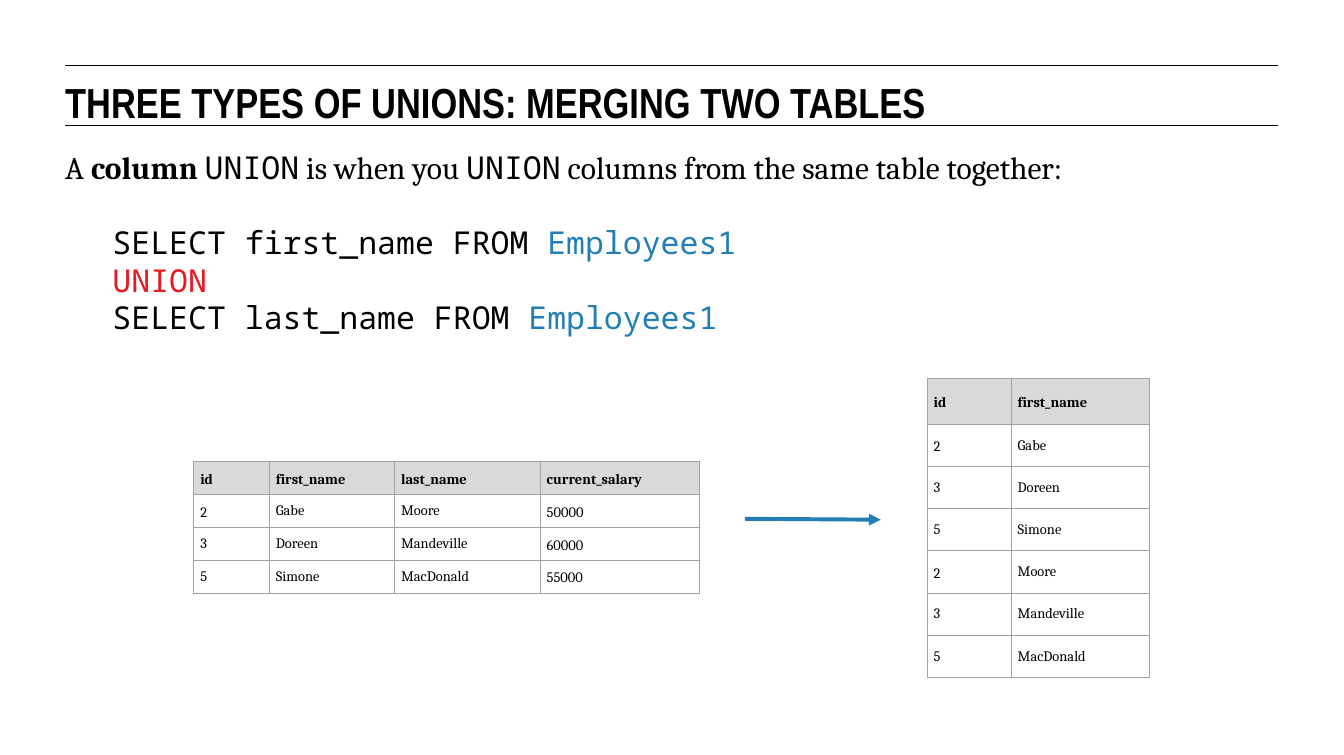
from lxml.etree import SubElement
from pptx import Presentation
from pptx.dml.color import RGBColor
from pptx.enum.shapes import MSO_CONNECTOR
from pptx.enum.text import MSO_ANCHOR, MSO_AUTO_SIZE, PP_ALIGN
from pptx.oxml import parse_xml
from pptx.oxml.ns import nsdecls, qn
from pptx.util import Pt

COLORS = {
    "text": "000000",
    "table_name": "227FB6",
    "keyword": "E51B24",
    "header": "D9D9D9",
    "border": "A2A2A2",
}
SERIF, MONO, NARROW = "Cambria", "Noto Sans Mono", "Arial Narrow"
LEFT, WIDTH = 49.7, 924

EMPLOYEES = [
    ["id", "first_name", "last_name", "current_salary"],
    ["2", "Gabe", "Moore", "50000"],
    ["3", "Doreen", "Mandeville", "60000"],
    ["5", "Simone", "MacDonald", "55000"],
]
MERGED = [
    ["id", "first_name"],
    *[[row[0], row[column]] for column in (1, 2) for row in EMPLOYEES[1:]],
]
LEADING = {"2": 1.2, "50000": 1.15, "60000": 1.15, "55000": 1.15}

INTRO = [
    ("A ", SERIF, False),
    ("column ", SERIF, True),
    ("UNION", MONO, False),
    (" is when you ", SERIF, False),
    ("UNION", MONO, False),
    (" columns from the same table together:", SERIF, False),
]
QUERY = [
    [("SELECT first_name FROM ", "text"), ("Employees1", "table_name")],
    [("UNION", "keyword")],
    [("SELECT last_name FROM ", "text"), ("Employees1", "table_name")],
]


def rgb(name):
    return RGBColor.from_string(COLORS[name])


def add_run(paragraph, text, font, size, color="text", bold=False):
    run = paragraph.add_run()
    run.text = text
    run.font.name = font
    run.font.size = Pt(size)
    run.font.bold = bold
    run.font.color.rgb = rgb(color)


def clear_frame(frame):
    frame.margin_left = frame.margin_right = Pt(0)
    frame.margin_top = frame.margin_bottom = Pt(0)
    frame.word_wrap = True
    frame.auto_size = MSO_AUTO_SIZE.NONE
    frame.vertical_anchor = MSO_ANCHOR.TOP


def add_line(slide, start, end, color, weight):
    line = slide.shapes.add_connector(
        MSO_CONNECTOR.STRAIGHT, *[Pt(value) for value in (*start, *end)]
    )
    line.line.color.rgb = rgb(color)
    line.line.width = Pt(weight)
    SubElement(line._element.spPr, qn("a:effectLst"))
    return line


def add_heading(slide, left, top, width, height):
    for y in (top, top + height):
        add_line(slide, (left, y), (left + width, y), "text", 0.75)
    title = slide.shapes.title
    title.left, title.top = Pt(left), Pt(top + 8.6)
    title.width, title.height = Pt(668), Pt(34)
    clear_frame(title.text_frame)
    paragraph = title.text_frame.paragraphs[0]
    paragraph.alignment = PP_ALIGN.LEFT
    add_run(paragraph, "THREE TYPES OF UNIONS: MERGING TWO TABLES", NARROW, 32, bold=True)


def add_explanation(slide, left, top, width, height):
    body = slide.shapes.add_textbox(Pt(left), Pt(top), Pt(width), Pt(height))
    frame = body.text_frame
    clear_frame(frame)
    for text, font, bold in INTRO:
        add_run(frame.paragraphs[0], text, font, 24, bold=bold)
    for number, statement in enumerate(QUERY):
        paragraph = frame.add_paragraph()
        paragraph._p.get_or_add_pPr().set("marL", str(Pt(36)))
        paragraph.space_before = Pt(0 if number else 28)
        for text, color in statement:
            add_run(paragraph, text, MONO, 24, color)


def add_borders(cell):
    properties = cell._tc.get_or_add_tcPr()
    for position, side in enumerate(("lnL", "lnR", "lnT", "lnB")):
        border = parse_xml(
            f'<a:{side} {nsdecls("a")} w="{Pt(0.75)}"><a:solidFill>'
            f'<a:srgbClr val="{COLORS["border"]}"/></a:solidFill></a:{side}>'
        )
        properties.insert(position, border)


def fill_cell(cell, text, is_header):
    cell.margin_left = cell.margin_right = Pt(5)
    cell.margin_top = cell.margin_bottom = Pt(5)
    cell.vertical_anchor = MSO_ANCHOR.MIDDLE
    if is_header:
        cell.fill.solid()
        cell.fill.fore_color.rgb = rgb("header")
    else:
        cell.fill.background()
    add_borders(cell)
    paragraph = cell.text_frame.paragraphs[0]
    paragraph.line_spacing = 1.2 if is_header else LEADING.get(text, 1.0)
    add_run(paragraph, text, SERIF, 11, bold=is_header)


def add_records(slide, left, top, records, widths, header_height, row_height):
    heights = [header_height] + [row_height] * (len(records) - 1)
    table = slide.shapes.add_table(
        len(records), len(widths), Pt(left), Pt(top), Pt(sum(widths)), Pt(sum(heights))
    ).table
    table.first_row = table.horz_banding = False
    for column, width in zip(table.columns, widths):
        column.width = Pt(width)
    for row_number, (row, height, record) in enumerate(zip(table.rows, heights, records)):
        row.height = Pt(height)
        for cell, text in zip(row.cells, record):
            fill_cell(cell, text, row_number == 0)


def add_merge_arrow(slide, start, end):
    arrow = add_line(slide, start, end, "table_name", 3)
    SubElement(arrow.line._get_or_add_ln(), qn("a:tailEnd"), type="triangle")


def main():
    presentation = Presentation()
    presentation.slide_width, presentation.slide_height = Pt(1023.84), Pt(575.28)
    slide = presentation.slides.add_slide(presentation.slide_layouts[5])
    add_heading(slide, LEFT, 49.7, WIDTH, 46.1)
    add_explanation(slide, LEFT, 113, WIDTH, 278.6)
    add_records(slide, 706.3, 288, MERGED, [64, 105.2], 35.3, 32.15)
    add_records(slide, 147.6, 351.4, EMPLOYEES, [57.6, 95.4, 110.9, 121.7], 25.4, 25)
    add_merge_arrow(slide, (567.4, 395.3), (671, 396))
    presentation.save("out.pptx")


if __name__ == "__main__":
    main()
